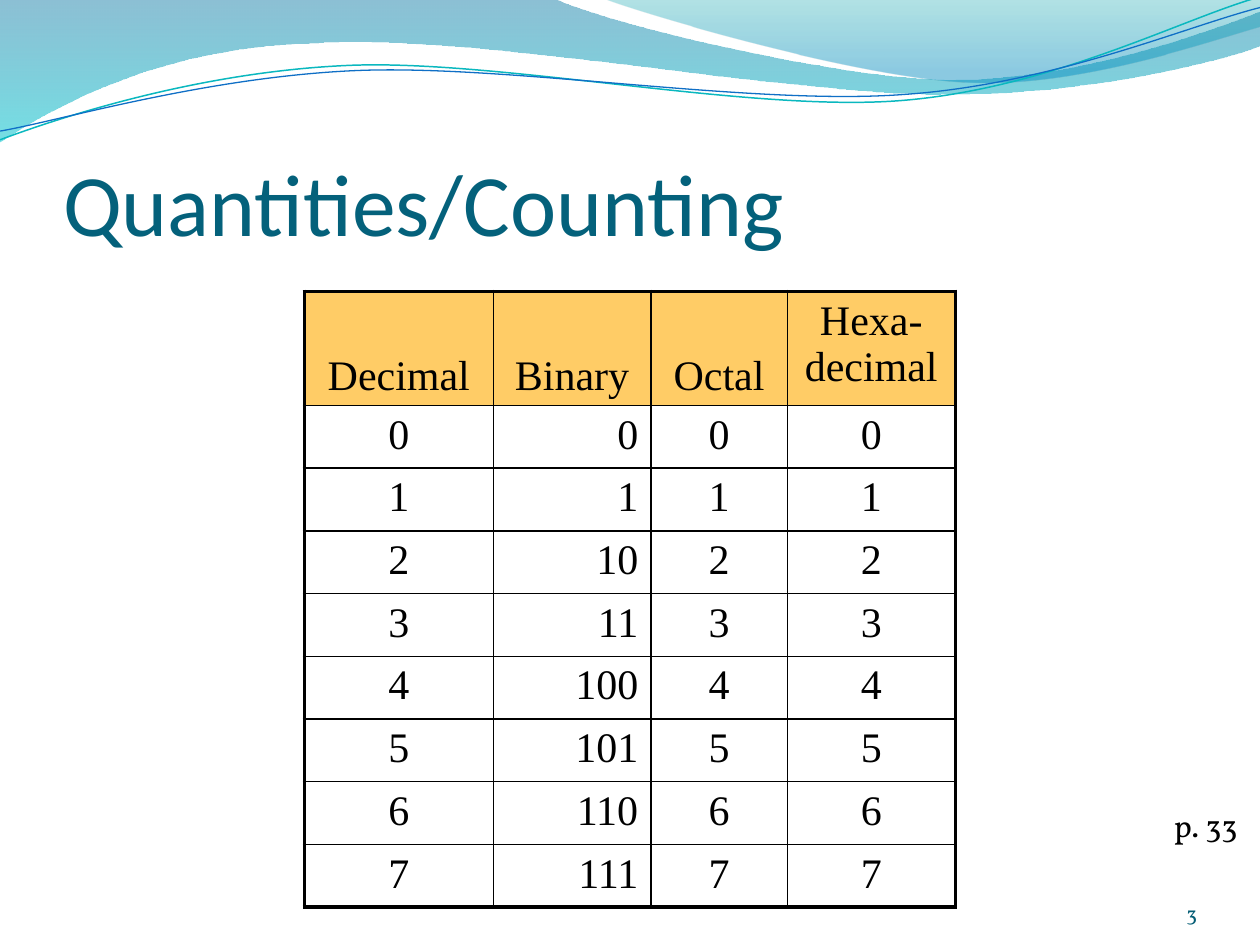
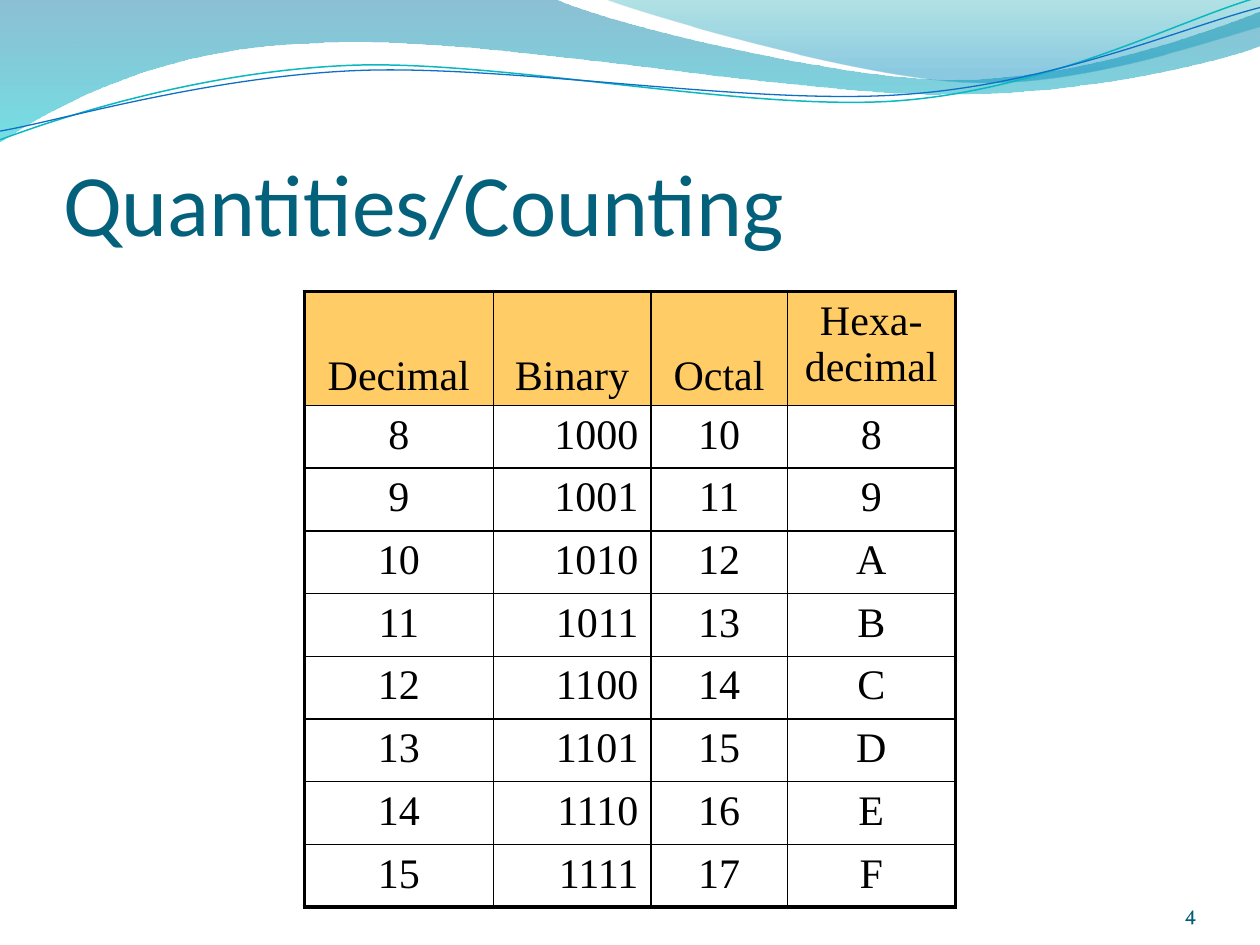
from lxml.etree import SubElement
from pptx import Presentation
from pptx.dml.color import RGBColor
from pptx.enum.text import MSO_ANCHOR, MSO_AUTO_SIZE, PP_ALIGN
from pptx.oxml.ns import qn
from pptx.util import Pt

BLACK = RGBColor(0x00, 0x00, 0x00)
AMBER = RGBColor(0xFF, 0xCC, 0x66)
TITLE = RGBColor(0x04, 0x61, 0x7B)
NUMBER = RGBColor(0x04, 0x5D, 0x75)
BLUE = RGBColor(0x00, 0x74, 0xA1)
CYAN = RGBColor(0x00, 0xC6, 0xCF)
TEAL = RGBColor(0x00, 0xA1, 0xA9)
SKY = RGBColor(0x00, 0x8B, 0xBF)
AQUA = RGBColor(0x0A, 0xB8, 0xBF)
ROYAL = RGBColor(0x0F, 0x6F, 0xC6)

TITLE_FONT = {"name": "Calibri", "size": Pt(50), "color": TITLE}
CELL_FONT = {"name": "Times New Roman", "size": Pt(24), "color": BLACK}
PAGE_FONT = {"name": "Vollkorn", "size": Pt(18), "color": BLACK}
NUM_FONT = {"name": "Vollkorn", "size": Pt(12), "color": NUMBER}
NO_INSET = (0, 0, 0, 0)

# Outlines: a start point, then lines (2 numbers) and curves (6 numbers)
# Filled waves: outline, gradient stops (place, colour, opacity in %)
WAVES = [
    ([(0, 0), (316.8, -0.7),
      (342.7, 12.2, 478.1, 45.4, 545.8, 45.4),
      (614.2, 45.4, 689.8, 18.7, 720, 6.5), (720.7, 25.9),
      (707.8, 31.7, 626.4, 54.7, 537.1, 54),
      (447.8, 54, 275, 20.2, 185, 24.5),
      (92.9, 25.9, 33.1, 59.8, -0.7, 81.4), (0, 0)],
     [(0, BLUE, 45), (1, CYAN, 55)]),
    ([(344.9, -0.7),
      (366.5, 7.9, 491, 44.6, 553.7, 46.8),
      (616.3, 49.7, 691.9, 23, 720, 15.1), (720, 0), (344.9, -0.7)],
     [(0, TEAL, 30), (0.8, SKY, 45)]),
]
# Thin lines: outline, colour, width
THREADS = [
    ([(0, 79.9),
      (34.6, 67, 113.8, 41, 199.4, 37.4),
      (284.4, 33.8, 427, 64.1, 513.4, 57.6),
      (599.8, 51.1, 675.4, 10.8, 718.6, -1.4)], AQUA, 0.85),
    ([(0, 74.9),
      (33.8, 69.1, 118.1, 43.9, 203.8, 40.3),
      (290.2, 36.7, 429.8, 60.5, 516.2, 54),
      (601.9, 48.2, 677.5, 15.1, 720, 4.3)], ROYAL, 0.75),
]

HEADS = ["Decimal", "Binary", "Octal", "Hexa-\vdecimal"]
COLS = [108, 90, 78, 96]
HEAD_HIGH, ROW_HIGH = 65.2, 35.83
THIN, THICK = 1, 2.25


def style(frame, font, align):
    """Format every run of a text frame."""
    for para in frame.paragraphs:
        para.alignment = align
        for run in para.runs:
            for key, value in font.items():
                if key == "color":
                    run.font.color.rgb = value
                else:
                    setattr(run.font, key, value)


def inset(frame, sizes):
    for side, size in zip(("left", "top", "right", "bottom"), sizes):
        setattr(frame, f"margin_{side}", Pt(size))


def draw(slide, outline, close):
    """Draw an outline through all its points, then bend the curves."""
    points = [(Pt(x), Pt(y)) for part in outline
              for x, y in zip(part[::2], part[1::2])]
    pen = slide.shapes.build_freeform(*points[0])
    pen.add_line_segments(points[1:], close=close)
    shape = pen.convert_to_shape()
    shape.shadow.inherit = False
    lines = iter(list(shape.element.iter(qn("a:lnTo"))))
    for part in outline[1:]:
        curve = next(lines)
        if len(part) == 6:
            curve.tag = qn("a:cubicBezTo")
            for extra in (next(lines), next(lines)):
                curve.append(extra[0])
                extra.getparent().remove(extra)
    return shape


def add_band(slide):
    """Draw the band and put it on the layout that the slides share."""
    parts = []
    # Filled waves
    for outline, stops in WAVES:
        wave = draw(slide, outline, True)
        wave.line.fill.background()
        wave.fill.gradient()
        wave.fill.gradient_angle = 270
        for stop, (place, color, _) in zip(wave.fill.gradient_stops, stops):
            stop.position = place
            stop.color.rgb = color
        tints = wave.element.spPr.iter(qn("a:srgbClr"))
        for tint, (_, _, alpha) in zip(tints, stops):
            SubElement(tint, qn("a:alpha"), val=str(alpha * 1000))
        parts.append(wave)
    # Thin lines
    for outline, color, width in THREADS:
        thread = draw(slide, outline, False)
        thread.fill.background()
        thread.line.color.rgb = color
        thread.line.width = Pt(width)
        parts.append(thread)
    # Shared layout: title and band only
    layout = slide.slide_layout
    for holder in list(layout.placeholders)[1:]:
        holder.element.getparent().remove(holder.element)
    for part in parts:
        layout.shapes.element.append(part.element)


def add_title(slide, text, box):
    title = slide.shapes.title
    for key, size in zip(("left", "top", "width", "height"), box):
        setattr(title, key, Pt(size))
    frame = title.text_frame
    frame.text = text
    frame.auto_size = MSO_AUTO_SIZE.NONE
    frame.vertical_anchor = MSO_ANCHOR.BOTTOM
    inset(frame, (0, 3.6, 0, 0))
    style(frame, TITLE_FONT, PP_ALIGN.LEFT)


def add_edges(cell, edges):
    props = cell._tc.get_or_add_tcPr()
    for side, width in edges.items():
        line = SubElement(props, qn(f"a:ln{side}"), w=str(Pt(width)))
        fill = SubElement(line, qn("a:solidFill"))
        SubElement(fill, qn("a:srgbClr"), val=str(BLACK))


def add_grid(slide, numbers, box):
    rows = [HEADS] + [[str(n), f"{n:b}", f"{n:o}", f"{n:X}"] for n in numbers]
    last_row, last_col = len(rows) - 1, len(COLS) - 1
    grid = slide.shapes.add_table(len(rows), len(COLS), *map(Pt, box)).table
    grid.first_row = grid.horz_banding = False
    for col, width in zip(grid.columns, COLS):
        col.width = Pt(width)
    for r, texts in enumerate(rows):
        grid.rows[r].height = Pt(ROW_HIGH if r else HEAD_HIGH)
        for c, text in enumerate(texts):
            cell = grid.cell(r, c)
            cell.text = text
            add_edges(cell, {"L": THIN if c else THICK,
                             "R": THICK if c == last_col else THIN,
                             "T": THIN if r else THICK,
                             "B": THICK if r == last_row else THIN})
            if r:
                cell.fill.background()
            else:
                cell.fill.solid()
                cell.fill.fore_color.rgb = AMBER
            low = r == 0 and c < last_col
            cell.vertical_anchor = MSO_ANCHOR.BOTTOM if low else MSO_ANCHOR.TOP
            right = r > 0 and c == 1
            style(cell.text_frame, CELL_FONT,
                  PP_ALIGN.RIGHT if right else PP_ALIGN.CENTER)


def add_note(slide, text, box, font, anchor, sizes):
    frame = slide.shapes.add_textbox(*map(Pt, box)).text_frame
    frame.word_wrap = True
    frame.vertical_anchor = anchor
    inset(frame, sizes)
    frame.text = text
    style(frame, font, PP_ALIGN.RIGHT)


def add_count(deck, numbers, number, page=None):
    """Counting slide: title, table, page reference and number."""
    slide = deck.slides.add_slide(deck.slide_layouts[5])
    add_title(slide, "Quantities/Counting", (36, 55.4, 653.8, 90))
    high = HEAD_HIGH + ROW_HIGH * len(numbers)
    add_grid(slide, numbers, (173.9, 166.5, sum(COLS), high))
    if page:
        add_note(slide, page, (630, 457.2, 84.2, 28.8), PAGE_FONT,
                 MSO_ANCHOR.TOP, (7.2, 3.6, 7.2, 3.6))
    add_note(slide, str(number), (624, 500.4, 60, 28.8), NUM_FONT,
             MSO_ANCHOR.BOTTOM, NO_INSET)
    return slide


def main():
    deck = Presentation()
    deck.slide_width, deck.slide_height = Pt(720), Pt(540)
    first = add_count(deck, range(8), 3, "p. 33")
    add_band(first)
    add_count(deck, range(8, 16), 4)
    deck.save("out.pptx")


if __name__ == "__main__":
    main()
